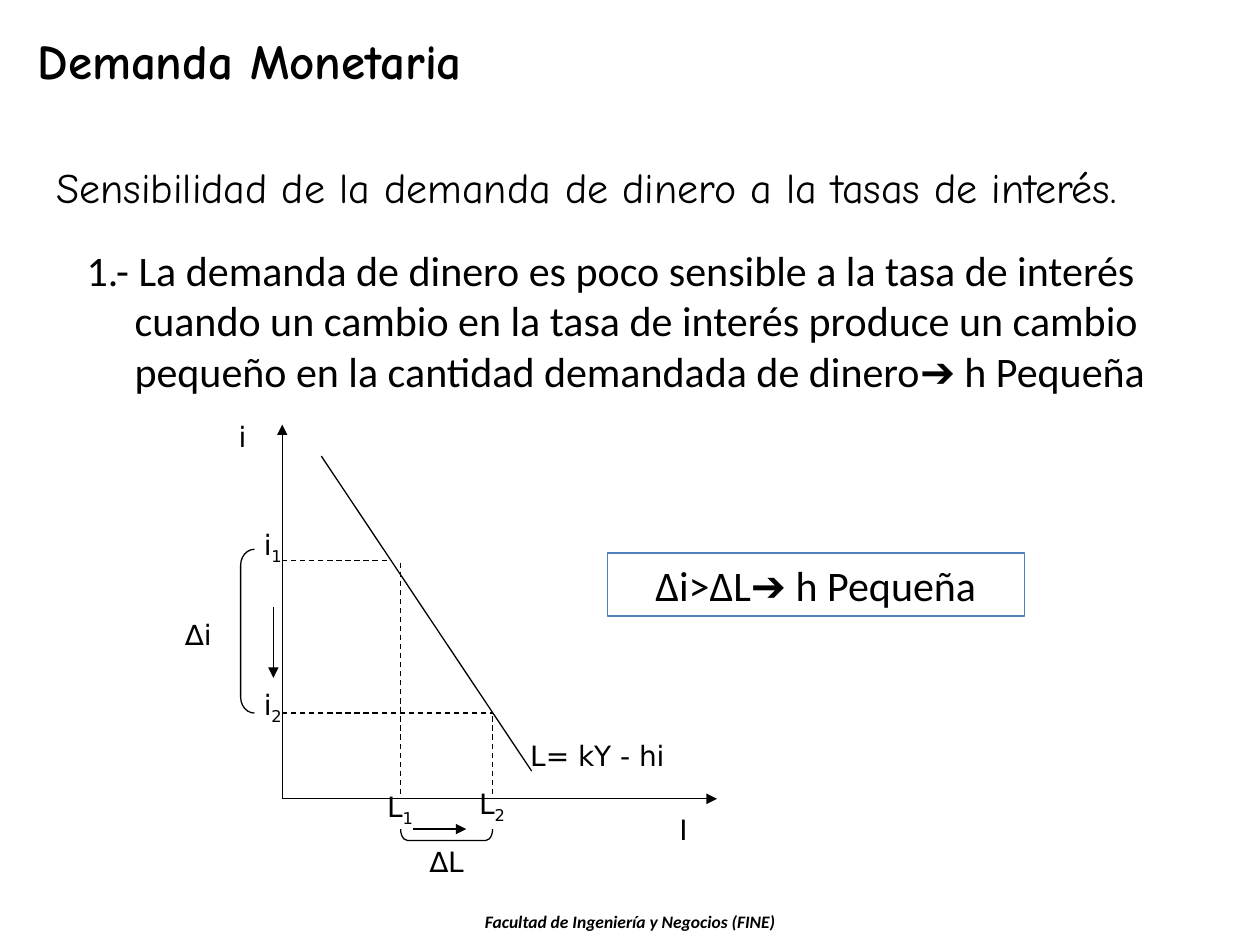
from lxml import etree
from pptx import Presentation
from pptx.dml.color import RGBColor
from pptx.enum.dml import MSO_LINE
from pptx.enum.shapes import MSO_CONNECTOR, MSO_SHAPE
from pptx.enum.text import MSO_ANCHOR, PP_ALIGN
from pptx.oxml.ns import qn
from pptx.util import Inches, Pt

LEFT, CENTER = PP_ALIGN.LEFT, PP_ALIGN.CENTER
TOP, BOTTOM = MSO_ANCHOR.TOP, MSO_ANCHOR.BOTTOM
BLACK, BLUE = "000000", "4F81BD"
HEADING_FONT, BODY_FONT, GRAPH_FONT = "Comic Neue", "Calibri", "DejaVu Sans"
HANGING = 0.38

# Key positions of the graph, in inches
AXIS_X, AXIS_Y = 2.24, 6.34
L1, L2 = 3.18, 3.91
I1, I2 = 4.45, 5.66
DROP_END = 6.3

TITLE = "Demanda Monetaria"
SUBTITLE = "Sensibilidad de la demanda de dinero a la tasas de interés."
STATEMENT = ("1.- La demanda de dinero es poco sensible a la tasa de interés "
             "cuando un cambio en la tasa de interés produce un cambio pequeño "
             "en la cantidad demandada de dinero➔ h Pequeña")
CONCLUSION = "∆i>∆L➔ h Pequeña"
FOOTER = "Facultad de Ingeniería y Negocios (FINE)"

# (text, subscript, left, top, width, height, alignment)
GRAPH_LABELS = [
    ("i", "", 1.61, 3.28, 0.63, 0.43, CENTER),
    ("I", "", 4.43, 6.4, 1.99, 0.43, CENTER),
    ("i", "1", 1.85, 4.14, 0.63, 0.43, CENTER),
    ("i", "2", 1.85, 5.41, 0.63, 0.43, CENTER),
    ("L", "1", 2.55, 6.22, 1.25, 0.43, CENTER),
    ("L", "2", 3.28, 6.19, 1.25, 0.43, CENTER),
    ("∆i", "", 1.31, 4.85, 0.53, 0.37, CENTER),
    ("∆L", "", 2.34, 6.65, 2.41, 0.43, CENTER),
    ("L= kY - hi", "", 4.11, 5.81, 1.52, 0.37, LEFT),
]

# (start x, start y, end x, end y)
ARROWS = [
    (AXIS_X, AXIS_Y, AXIS_X, 3.37),
    (AXIS_X, AXIS_Y, 5.69, AXIS_Y),
    (2.17, 4.82, 2.17, 5.38),
    (3.28, 6.58, 3.7, 6.58),
]
DASHED_LINES = [
    (L1, DROP_END, L1, I1),
    (AXIS_X, I1, 3.07, I1),
    (AXIS_X, I2, L2, I2),
    (L2, DROP_END, L2, I2),
]
DEMAND_CURVE = (2.55, 3.62, 4.22, 6.12)

# (left, top, width, height, curvature, rotation)
BRACKETS = [
    (1.91, 4.36, 0.11, 1.3, 1.15, 0),
    (3.5, 6.26, 0.09, 0.73, 0.59, 270),
]


def color(value):
    return RGBColor.from_string(value)


def style_line(line, value=BLACK):
    line.color.rgb = color(value)
    line.width = Pt(0.75)


def write(shape, text, font, size, alignment=LEFT, subscript="", hanging=True,
          bold=False, italic=False, anchor=TOP):
    frame = shape.text_frame
    frame.word_wrap = True
    frame.vertical_anchor = anchor
    paragraph = frame.paragraphs[0]
    paragraph.alignment = alignment
    paragraph.add_run().text = text
    if subscript:
        run = paragraph.add_run()
        run.text = subscript
        run.font._element.set("baseline", "-25000")
    if hanging:
        properties = paragraph._p.get_or_add_pPr()
        properties.set("marL", str(Inches(HANGING)))
        properties.set("indent", str(-Inches(HANGING)))
    paragraph.font.name = font
    paragraph.font.size = Pt(size)
    paragraph.font.bold = bold
    paragraph.font.italic = italic
    paragraph.font.color.rgb = color(BLACK)


def add_text(slide, box, text, font, size, **options):
    shape = slide.shapes.add_textbox(*map(Inches, box))
    write(shape, text, font, size, **options)


def add_line(slide, points, dashed=False, arrow=False):
    connector = slide.shapes.add_connector(MSO_CONNECTOR.STRAIGHT, *map(Inches, points))
    style_line(connector.line)
    if dashed:
        connector.line.dash_style = MSO_LINE.DASH
    if arrow:
        etree.SubElement(connector.line._get_or_add_ln(), qn("a:tailEnd"), type="triangle")
    etree.SubElement(connector._element.spPr, qn("a:effectLst"))


def add_outline(slide, preset, box, line_color=BLACK):
    shape = slide.shapes.add_shape(preset, *map(Inches, box))
    shape.shadow.inherit = False
    shape.fill.background()
    style_line(shape.line, line_color)
    return shape


def draw_graph(slide):
    for points in ARROWS:
        add_line(slide, points, arrow=True)
    for points in DASHED_LINES:
        add_line(slide, points, dashed=True)
    add_line(slide, DEMAND_CURVE)
    for *box, curvature, rotation in BRACKETS:
        bracket = add_outline(slide, MSO_SHAPE.LEFT_BRACKET, box)
        bracket.adjustments[0] = curvature
        bracket.rotation = rotation
    for text, subscript, *box, alignment in GRAPH_LABELS:
        add_text(slide, box, text, GRAPH_FONT, 16, alignment=alignment, subscript=subscript)


def main():
    presentation = Presentation()
    presentation.slide_width, presentation.slide_height = Inches(10), Inches(7.5)
    slide = presentation.slides.add_slide(presentation.slide_layouts[6])

    add_text(slide, (0.2, 0.19, 6.83, 0.57), TITLE, HEADING_FONT, 28, hanging=False, bold=True)
    add_text(slide, (0.35, 1.02, 9.37, 0.71), SUBTITLE, HEADING_FONT, 24,
             hanging=False, anchor=BOTTOM)
    add_text(slide, (0.59, 1.89, 9.06, 1.31), STATEMENT, BODY_FONT, 24)
    draw_graph(slide)
    conclusion = add_outline(slide, MSO_SHAPE.RECTANGLE, (4.82, 4.39, 3.31, 0.5), BLUE)
    write(conclusion, CONCLUSION, BODY_FONT, 24, alignment=CENTER)
    add_text(slide, (2.56, 7.18, 4.88, 0.27), FOOTER, BODY_FONT, 10,
             alignment=CENTER, hanging=False, bold=True, italic=True)

    presentation.save("out.pptx")


if __name__ == "__main__":
    main()
